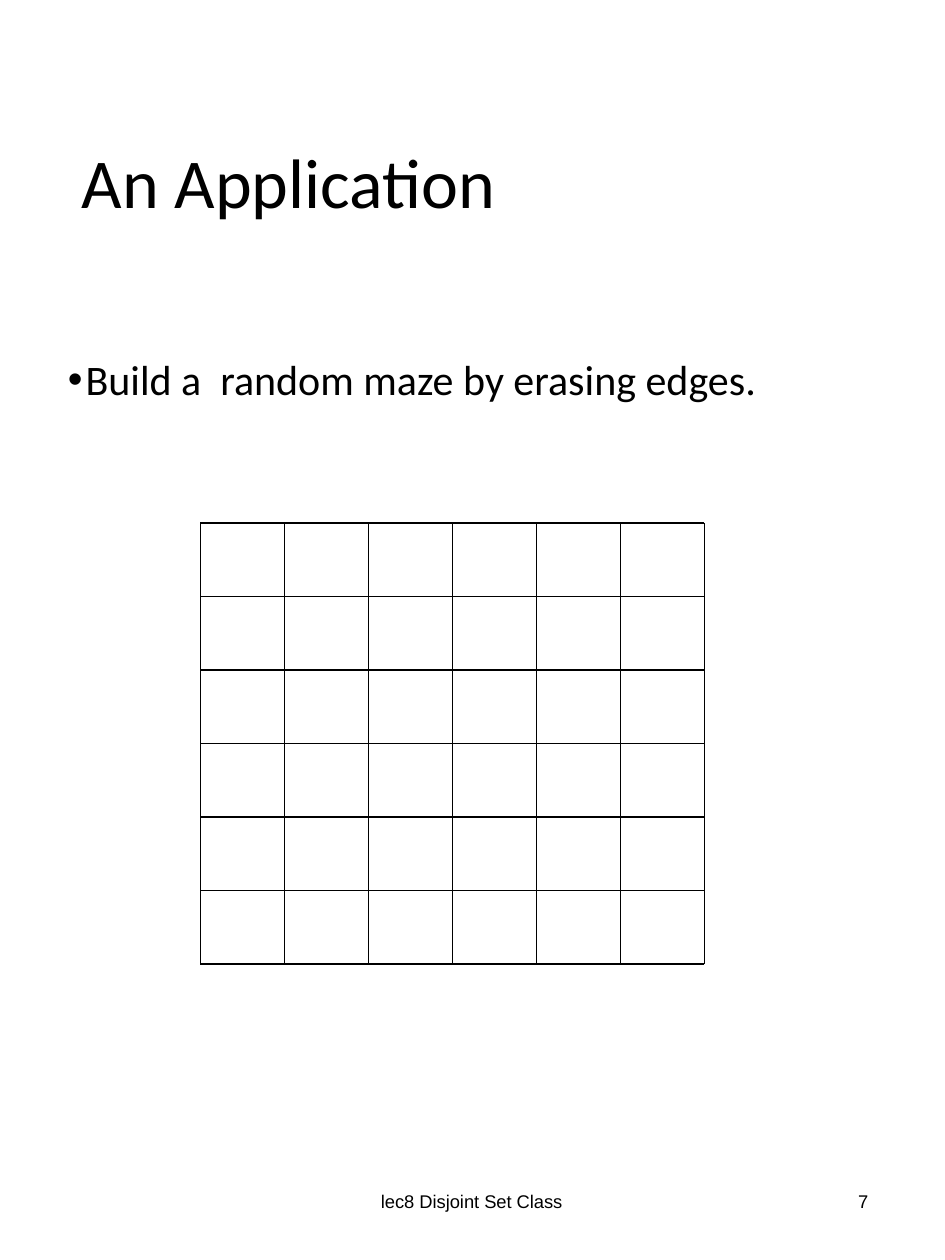
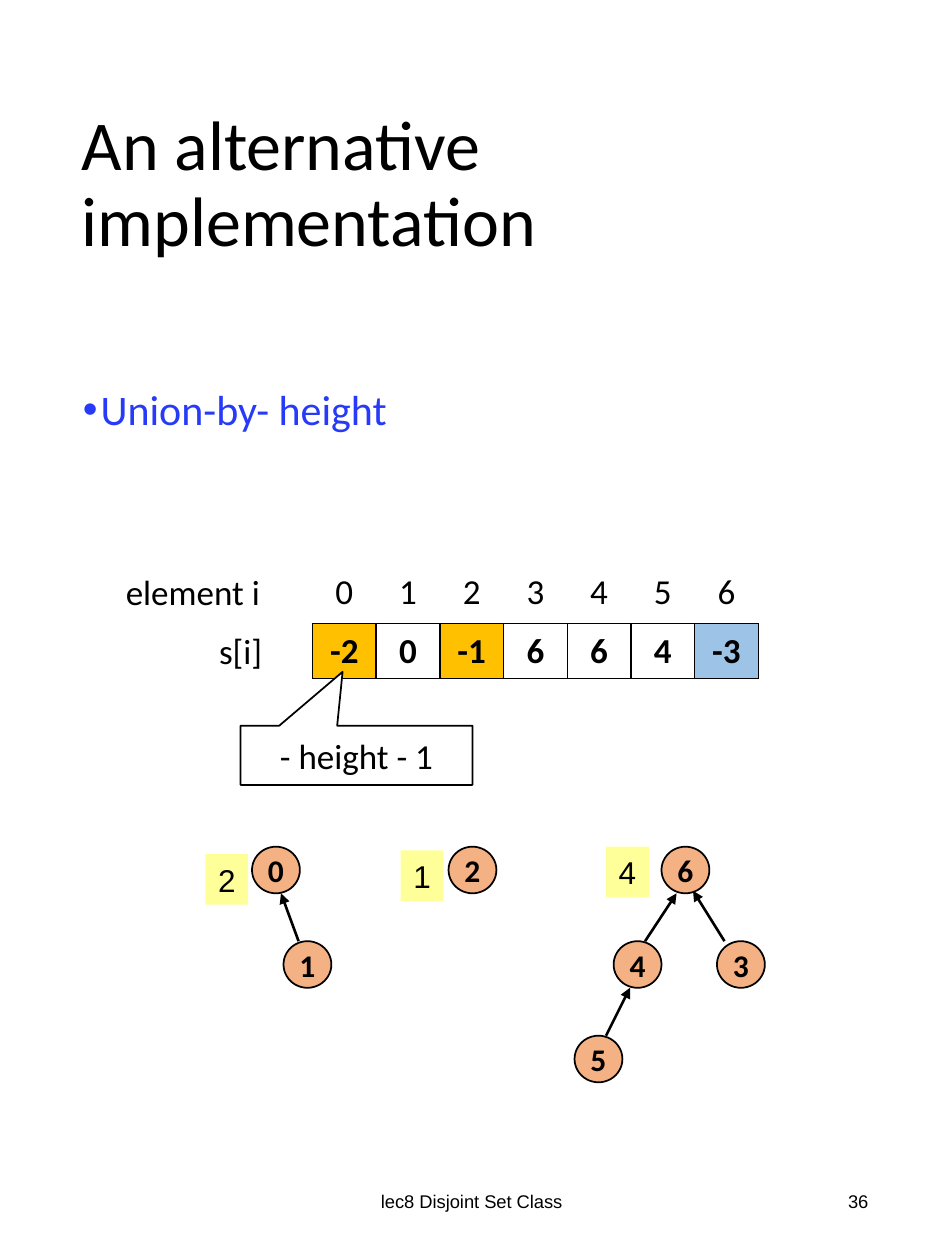
from dataclasses import dataclass
from itertools import product

from lxml.etree import SubElement
from pptx import Presentation
from pptx.dml.color import RGBColor
from pptx.enum.shapes import MSO_CONNECTOR, MSO_SHAPE
from pptx.enum.text import MSO_ANCHOR, PP_ALIGN
from pptx.oxml import parse_xml
from pptx.oxml.ns import nsdecls, qn
from pptx.util import Inches, Pt

COLORS = {
    "ink": "000000",
    "paper": "FFFFFF",
    "highlight": "263AF8",
    "gold": "FFC000",
    "sky": "9DC3E6",
    "node": "F4B183",
    "tag": "FFFF99",
}
HEADING_FONT = "Calibri"
PLAIN_FONT = "Arial"


@dataclass(frozen=True)
class Area:
    left: float
    top: float
    width: float
    height: float

    def lengths(self) -> tuple:
        return tuple(Inches(value) for value in (self.left, self.top, self.width, self.height))


@dataclass(frozen=True)
class TextStyle:
    size: float
    font: str = HEADING_FONT
    color: str = "ink"
    bold: bool = False
    align: PP_ALIGN = PP_ALIGN.LEFT
    line_spacing: float = 1.0


@dataclass(frozen=True)
class Edge:
    start: tuple[float, float]
    end: tuple[float, float]


@dataclass(frozen=True)
class Badge:
    text: str
    left: float
    top: float


TITLE_STYLE = TextStyle(40, line_spacing=0.9)
LABEL_STYLE = TextStyle(20)
INDEX_STYLE = TextStyle(20, align=PP_ALIGN.CENTER)
ENTRY_STYLE = TextStyle(20, bold=True, align=PP_ALIGN.CENTER)
NODE_STYLE = TextStyle(18, bold=True, align=PP_ALIGN.CENTER)
TAG_STYLE = TextStyle(18, PLAIN_FONT, align=PP_ALIGN.CENTER)
FOOTER_STYLE = TextStyle(10.5, PLAIN_FONT, align=PP_ALIGN.CENTER)
NUMBER_STYLE = TextStyle(10.5, PLAIN_FONT, align=PP_ALIGN.RIGHT)

TITLE_AREA = Area(0.55, 0.51, 6.47, 1.93)
FOOTER_AREA = Area(2.48, 9.27, 2.53, 0.53)
NUMBER_AREA = Area(5.3, 9.27, 1.69, 0.53)

MAZE = Area(1.59, 4.15, 4, 3.5)
MAZE_CELLS = 6

ENTRIES = ["-2", "0", "-1", "6", "6", "4", "-3"]
ENTRY_FILLS = {0: "gold", 2: "gold", 6: "sky"}
INDEX_AREA = Area(2.48, 4.48, 3.54, 0.43)
ENTRY_AREA = Area(2.48, 4.95, 3.54, 0.43)
LABELS = {
    "element i": Area(0.9, 4.48, 1.46, 0.44),
    "s[i]": Area(1.64, 4.95, 0.66, 0.44),
}

TREE_ROWS = [6.72, 7.47, 8.22]
NODES = [
    Badge("0", 2, TREE_ROWS[0]),
    Badge("1", 2.25, TREE_ROWS[1]),
    Badge("2", 3.56, TREE_ROWS[0]),
    Badge("3", 5.69, TREE_ROWS[1]),
    Badge("4", 4.87, TREE_ROWS[1]),
    Badge("5", 4.56, TREE_ROWS[2]),
    Badge("6", 5.25, TREE_ROWS[0]),
]
TAGS = [Badge("2", 1.63, 6.78), Badge("4", 4.81, 6.72), Badge("1", 3.18, 6.75)]
PARENT_ARROWS = [
    Edge((2.37, 7.47), (2.23, 7.09)),
    Edge((5.12, 7.47), (5.37, 7.09)),
    Edge((5.75, 7.47), (5.5, 7.07)),
    Edge((4.81, 8.22), (5, 7.84)),
]


def rgb(name: str) -> RGBColor:
    return RGBColor.from_string(COLORS[name])


def write_text(frame, text: str, style: TextStyle, bullet: bool = False) -> None:
    frame.word_wrap = True
    para = frame.paragraphs[0]
    para.text = text
    para.alignment = style.align
    para.line_spacing = style.line_spacing
    if bullet:
        properties = para._p.get_or_add_pPr()
        properties.set("marL", str(Inches(0.14)))
        properties.set("indent", str(Inches(-0.14)))
        SubElement(properties, qn("a:buFont"), typeface=PLAIN_FONT)
        SubElement(properties, qn("a:buChar"), char="•")
    para.font.size = Pt(style.size)
    para.font.name = style.font
    para.font.bold = style.bold
    para.font.color.rgb = rgb(style.color)


def add_text(page, area: Area, text: str, style: TextStyle,
             anchor: MSO_ANCHOR = MSO_ANCHOR.TOP, bullet: bool = False) -> None:
    frame = page.shapes.add_textbox(*area.lengths()).text_frame
    frame.vertical_anchor = anchor
    write_text(frame, text, style, bullet)


def add_filled_shape(page, kind: MSO_SHAPE, area: Area, fill: str, text: str,
                     style: TextStyle, outlined: bool = True):
    shape = page.shapes.add_shape(kind, *area.lengths())
    shape.shadow.inherit = False
    shape.fill.solid()
    shape.fill.fore_color.rgb = rgb(fill)
    if outlined:
        shape.line.color.rgb = rgb("ink")
        shape.line.width = Pt(1)
    else:
        shape.line.fill.background()
    frame = shape.text_frame
    frame.margin_left = frame.margin_right = frame.margin_top = frame.margin_bottom = 0
    frame.vertical_anchor = MSO_ANCHOR.MIDDLE
    write_text(frame, text, style)
    return shape


def add_line(page, edge: Edge, width: float, arrow: bool = False) -> None:
    points = [Inches(value) for value in (*edge.start, *edge.end)]
    line = page.shapes.add_connector(MSO_CONNECTOR.STRAIGHT, *points)
    line.line.color.rgb = rgb("ink")
    line.line.width = Pt(width)
    if arrow:
        SubElement(line.line._get_or_add_ln(), qn("a:tailEnd"), type="triangle")
    SubElement(line._element.spPr, qn("a:effectLst"))


def add_cell_borders(cell) -> None:
    properties = cell._tc.get_or_add_tcPr()
    for position, side in enumerate(("lnL", "lnR", "lnT", "lnB")):
        border = parse_xml(
            f'<a:{side} {nsdecls("a")} w="{Pt(1)}"><a:solidFill>'
            f'<a:srgbClr val="{COLORS["ink"]}"/></a:solidFill></a:{side}>'
        )
        properties.insert(position, border)


def add_array_row(page, area: Area, values: list[str], style: TextStyle,
                  fills: dict[int, str], bordered: bool) -> None:
    table = page.shapes.add_table(1, len(values), *area.lengths()).table
    table.first_row = False
    table.horz_banding = False
    for index, value in enumerate(values):
        table.columns[index].width = Inches(area.width / len(values))
        cell = table.cell(0, index)
        if index in fills:
            cell.fill.solid()
            cell.fill.fore_color.rgb = rgb(fills[index])
        else:
            cell.fill.background()
        if bordered:
            add_cell_borders(cell)
        write_text(cell.text_frame, value, style)


def add_page(deck, title: str, number: int):
    page = deck.slides.add_slide(deck.slide_layouts[6])
    page.background.fill.solid()
    page.background.fill.fore_color.rgb = rgb("paper")
    add_text(page, FOOTER_AREA, "lec8 Disjoint Set Class", FOOTER_STYLE, MSO_ANCHOR.MIDDLE)
    add_text(page, NUMBER_AREA, str(number), NUMBER_STYLE, MSO_ANCHOR.MIDDLE)
    add_text(page, TITLE_AREA, title, TITLE_STYLE, MSO_ANCHOR.MIDDLE)
    return page


def add_bullet(page, area: Area, text: str, color: str) -> None:
    add_text(page, area, text, TextStyle(24, color=color, line_spacing=0.9), bullet=True)


def add_maze(page) -> None:
    cell_width = MAZE.width / MAZE_CELLS
    cell_height = MAZE.height / MAZE_CELLS
    right, bottom = MAZE.left + MAZE.width, MAZE.top + MAZE.height
    for row, column in product(range(MAZE_CELLS), repeat=2):
        left = MAZE.left + column * cell_width
        top = MAZE.top + row * cell_height
        corner = (left + cell_width, top)
        add_line(page, Edge((left, top), corner), 0.75)
        add_line(page, Edge(corner, (left + cell_width, top + cell_height)), 0.75)
    add_line(page, Edge((right, bottom), (MAZE.left, bottom)), 0.75)
    add_line(page, Edge((MAZE.left, bottom), (MAZE.left, MAZE.top)), 0.75)


def add_forest(page) -> None:
    for tag in TAGS:
        add_filled_shape(page, MSO_SHAPE.RECTANGLE, Area(tag.left, tag.top, 0.34, 0.4),
                         "tag", tag.text, TAG_STYLE, outlined=False)
    for node in NODES:
        add_filled_shape(page, MSO_SHAPE.OVAL, Area(node.left, node.top, 0.38, 0.37),
                         "node", node.text, NODE_STYLE)
    for arrow in PARENT_ARROWS:
        add_line(page, arrow, 1.5, arrow=True)


def build_maze_page(deck) -> None:
    page = add_page(deck, "An Application", 7)
    add_bullet(page, Area(0.44, 2.8, 6.58, 0.44), "Build a  random maze by erasing edges.", "ink")
    add_maze(page)


def build_union_page(deck) -> None:
    page = add_page(deck, "An alternative implementation", 36)
    add_bullet(page, Area(0.56, 3.04, 6.38, 1.2), "Union-by- height", "highlight")
    add_array_row(page, ENTRY_AREA, ENTRIES, ENTRY_STYLE, ENTRY_FILLS, bordered=True)
    indexes = [str(index) for index in range(len(ENTRIES))]
    add_array_row(page, INDEX_AREA, indexes, INDEX_STYLE, {}, bordered=False)
    for text, area in LABELS.items():
        add_text(page, area, text, LABEL_STYLE)
    add_forest(page)
    callout = add_filled_shape(page, MSO_SHAPE.RECTANGULAR_CALLOUT, Area(1.91, 5.76, 1.84, 0.47),
                               "paper", "- height - 1", INDEX_STYLE)
    callout.adjustments[0] = -0.06
    callout.adjustments[1] = -1.41


def main() -> None:
    deck = Presentation()
    deck.slide_width = Inches(7.5)
    deck.slide_height = Inches(10)
    build_maze_page(deck)
    build_union_page(deck)
    deck.save("out.pptx")


if __name__ == "__main__":
    main()
